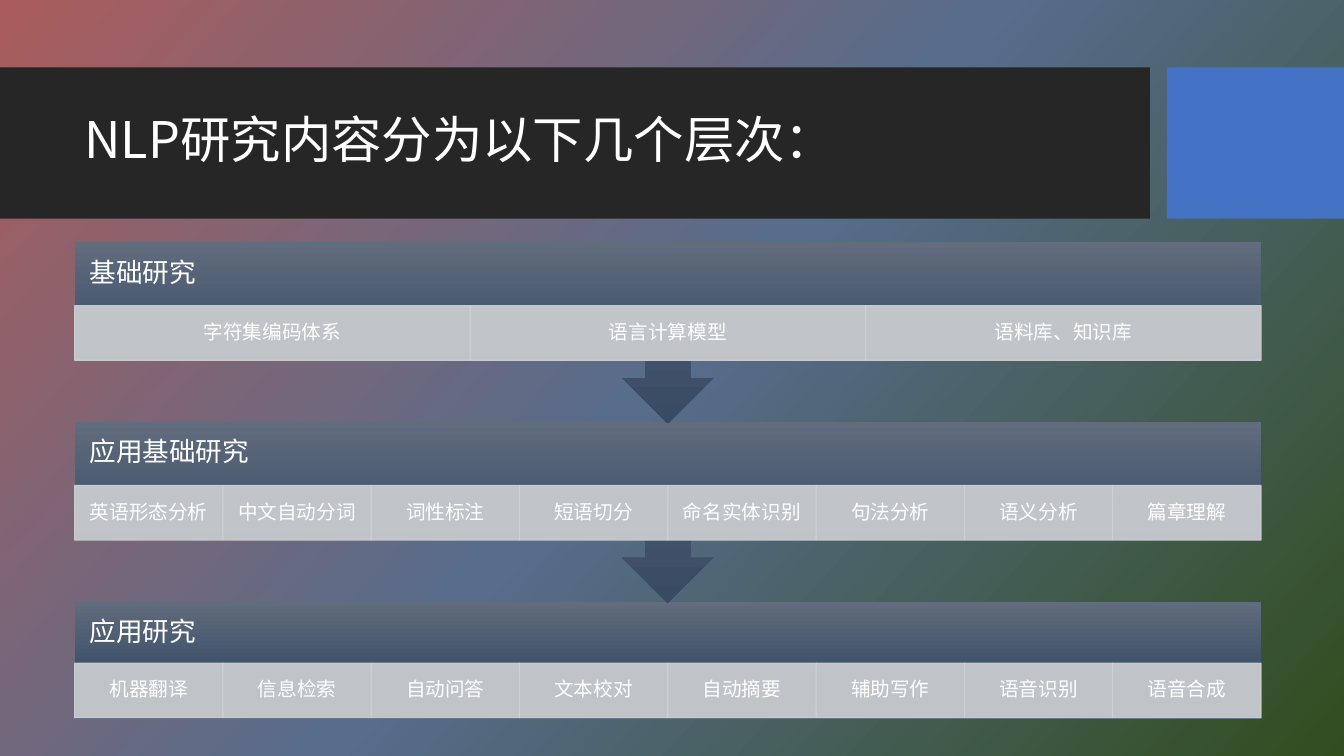
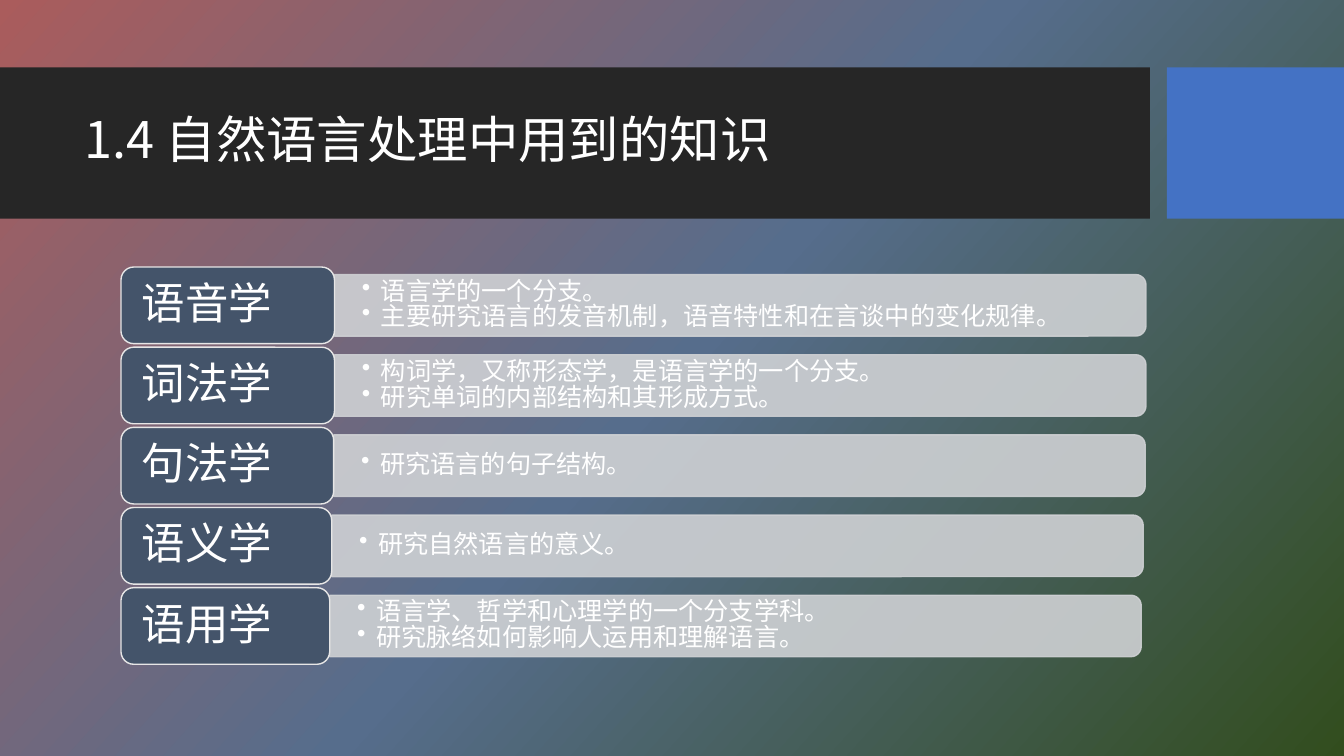
"""Build two slides on the research layers and knowledge of NLP."""
from dataclasses import dataclass

from lxml.etree import SubElement
from pptx import Presentation
from pptx.dml.color import RGBColor
from pptx.enum.shapes import MSO_SHAPE as Shape
from pptx.enum.text import MSO_ANCHOR as Anchor, MSO_AUTO_SIZE as AutoSize, PP_ALIGN as Align
from pptx.oxml.ns import qn
from pptx.util import Cm, Pt

FONT = "Noto Sans CJK SC"
WHITE = RGBColor(0xFF, 0xFF, 0xFF)
TITLE_BAND = RGBColor(0x26, 0x26, 0x26)
ACCENT = RGBColor(0x44, 0x72, 0xC4)
PALE = RGBColor(0xCF, 0xD1, 0xD4)
SLATE = RGBColor(0x44, 0x54, 0x6A)
LABEL_EDGE = RGBColor(0xE7, 0xE6, 0xE6)
BACKDROP = (RGBColor(0xAA, 0x5C, 0x5C), RGBColor(0x56, 0x6D, 0x8C), RGBColor(0x32, 0x4D, 0x1E))
LAYER_SHADES = (RGBColor(0x61, 0x6C, 0x7D), RGBColor(0x42, 0x54, 0x6C), RGBColor(0x39, 0x4A, 0x62))

LAYER_LEFT, LAYER_TOP, LAYER_WIDTH, LAYER_PITCH = 1.88, 6.1, 29.9, 4.53
CELL_HEIGHT = 1.38
FIELD_LEFT, FIELD_TOP, FIELD_HEIGHT, FIELD_PITCH = 3.05, 6.73, 1.93, 2.02
BAR_LENGTH, BAR_HEIGHT = 20.45, 1.55


@dataclass(frozen=True)
class Layer:
    """A research layer with its topics."""
    heading: str
    topics: tuple[str, ...]
    outline: Shape = Shape.DOWN_ARROW_CALLOUT
    height: float = 4.57
    cell_offset: float = 1.6


@dataclass(frozen=True)
class Field:
    """A field of linguistics with its explanation."""
    name: str
    points: tuple[str, ...]
    label_width: float


LAYERS = (
    Layer("基础研究", ("字符集编码体系", "语言计算模型", "语料库、知识库")),
    Layer("应用基础研究", ("英语形态分析", "中文自动分词", "词性标注", "短语切分",
                     "命名实体识别", "句法分析", "语义分析", "篇章理解")),
    Layer("应用研究", ("机器翻译", "信息检索", "自动问答", "文本校对",
                   "自动摘要", "辅助写作", "语音识别", "语音合成"),
          Shape.RECTANGLE, 2.97, 1.55),
)
FIELDS = (
    Field("语音学", ("语言学的一个分支。",
                  "主要研究语言的发音机制，语音特性和在言谈中的变化规律。"), 5.38),
    Field("词法学", ("构词学，又称形态学，是语言学的一个分支。",
                  "研究单词的内部结构和其形成方式。"), 5.38),
    Field("句法学", ("研究语言的句子结构。",), 5.36),
    Field("语义学", ("研究自然语言的意义。",), 5.31),
    Field("语用学", ("语言学、哲学和心理学的一个分支学科。",
                  "研究脉络如何影响人运用和理解语言。"), 5.26),
)


def write(frame, *lines: str, size: float, align=Align.LEFT, insets=(0.25, 0.13, 0.25, 0.13),
          spacing: float = 0.9, bulleted: bool = False) -> None:
    """Fill a text frame with one formatted paragraph per line."""
    frame.word_wrap = True
    frame.auto_size = AutoSize.NONE
    frame.vertical_anchor = Anchor.MIDDLE
    frame.margin_left, frame.margin_top, frame.margin_right, frame.margin_bottom = map(Cm, insets)
    for index, line in enumerate(lines):
        paragraph = frame.add_paragraph() if index else frame.paragraphs[0]
        if bulleted:
            paragraph.level = 1
            properties = paragraph._p.get_or_add_pPr()
            properties.set("marL", str(Cm(0.48)))
            properties.set("indent", str(Cm(-0.48)))
            SubElement(properties, qn("a:buChar"), char="•")
        paragraph.alignment = align
        paragraph.line_spacing = spacing
        run = paragraph.add_run()
        run.text = line
        run.font.size = Pt(size)
        run.font.color.rgb = WHITE
        run.font.name = FONT
        SubElement(run._r.get_or_add_rPr(), qn("a:ea"), typeface=FONT)


def shade(fill, owner, colors: tuple[RGBColor, ...], angle: float) -> None:
    """Give a fill evenly spaced gradient stops, with a clockwise angle."""
    fill.gradient()
    fill.gradient_angle = 360 - angle
    stops = owner.element.find(f".//{qn('a:gradFill')}/{qn('a:gsLst')}")
    for stop in list(stops):
        stops.remove(stop)
    for index, color in enumerate(colors):
        position = 100000 * index // (len(colors) - 1)
        stop = SubElement(stops, qn("a:gs"), pos=str(position))
        SubElement(stop, qn("a:srgbClr"), val=str(color))


def block(slide, outline: Shape, left: float, top: float, width: float, height: float,
          fill: RGBColor | None = None, edge: RGBColor | None = None,
          edge_width: float = 1, opacity: int = 100):
    """Draw a flat preset shape, measured in centimetres."""
    shape = slide.shapes.add_shape(outline, Cm(left), Cm(top), Cm(width), Cm(height))
    shape.shadow.inherit = False
    if fill is not None:
        shape.fill.solid()
        shape.fill.fore_color.rgb = fill
    if edge is None:
        shape.line.fill.background()
    else:
        shape.line.color.rgb = edge
        shape.line.width = Pt(edge_width)
    if opacity < 100:
        for color in shape.element.iter(qn("a:srgbClr")):
            SubElement(color, qn("a:alpha"), val=str(opacity * 1000))
    return shape


def dress_layout(layout, slide) -> None:
    """Put the backdrop, bands and title place on the shared layout."""
    shade(layout.background.fill, layout, BACKDROP, 42)
    bands = (block(slide, Shape.RECTANGLE, 0, 1.7, 28.98, 3.81, TITLE_BAND),
             block(slide, Shape.RECTANGLE, 29.41, 1.7, 4.46, 3.81, ACCENT))
    for position, band in enumerate(bands, start=2):
        layout.shapes.element.insert(position, band.element)


def set_title(slide, text: str) -> None:
    """Place and write the slide title."""
    title = slide.shapes.title
    title.left, title.top, title.width, title.height = map(Cm, (1.88, 2.08, 26.7, 3))
    write(title.text_frame, text, size=36)


def draw_layer(slide, layer: Layer, top: float) -> None:
    """Draw a layer heading with its row of topics."""
    panel = block(slide, layer.outline, LAYER_LEFT, top, LAYER_WIDTH, layer.height)
    shade(panel.fill, panel, LAYER_SHADES, 90)
    write(panel.text_frame, layer.heading, size=19, insets=(0.38, 0, 0.38, CELL_HEIGHT))
    cell_width = LAYER_WIDTH / len(layer.topics)
    for column, topic in enumerate(layer.topics):
        cell = block(slide, Shape.RECTANGLE, LAYER_LEFT + column * cell_width,
                     top + layer.cell_offset, cell_width, CELL_HEIGHT,
                     PALE, PALE, edge_width=0.75, opacity=90)
        write(cell.text_frame, topic, size=14, align=Align.CENTER, insets=(0.28, 0.05, 0.28, 0.05))


def draw_field(slide, field: Field, top: float) -> None:
    """Draw a field label with its explanation bar."""
    bar_left = FIELD_LEFT + field.label_width
    middle = top + FIELD_HEIGHT / 2
    bar = block(slide, Shape.ROUND_2_SAME_RECTANGLE,
                bar_left + (BAR_LENGTH - BAR_HEIGHT) / 2, middle - BAR_LENGTH / 2,
                BAR_HEIGHT, BAR_LENGTH, PALE, PALE, opacity=90)
    bar.rotation = 90
    explanation = slide.shapes.add_textbox(Cm(bar_left), Cm(middle - 0.7), Cm(20.37), Cm(1.4))
    write(explanation.text_frame, *field.points, size=18, insets=(0.69, 0.36, 0.69, 0.36),
          spacing=0.85, bulleted=True)
    label = block(slide, Shape.ROUNDED_RECTANGLE, FIELD_LEFT, top,
                  field.label_width, FIELD_HEIGHT, SLATE, LABEL_EDGE)
    write(label.text_frame, field.name, size=31, insets=(0.43, 0.25, 0.43, 0.25))


def main() -> None:
    """Assemble and save the presentation."""
    deck = Presentation()
    deck.slide_width, deck.slide_height = Cm(33.87), Cm(19.05)
    layout = deck.slide_layouts[5]
    layers_slide, fields_slide = (deck.slides.add_slide(layout) for _ in range(2))
    dress_layout(layout, layers_slide)

    set_title(layers_slide, "NLP研究内容分为以下几个层次：")
    for row, layer in reversed(list(enumerate(LAYERS))):
        draw_layer(layers_slide, layer, LAYER_TOP + row * LAYER_PITCH)

    set_title(fields_slide, "1.4 自然语言处理中用到的知识")
    for row, field in enumerate(FIELDS):
        draw_field(fields_slide, field, FIELD_TOP + row * FIELD_PITCH)
    deck.save("out.pptx")


if __name__ == "__main__":
    main()
